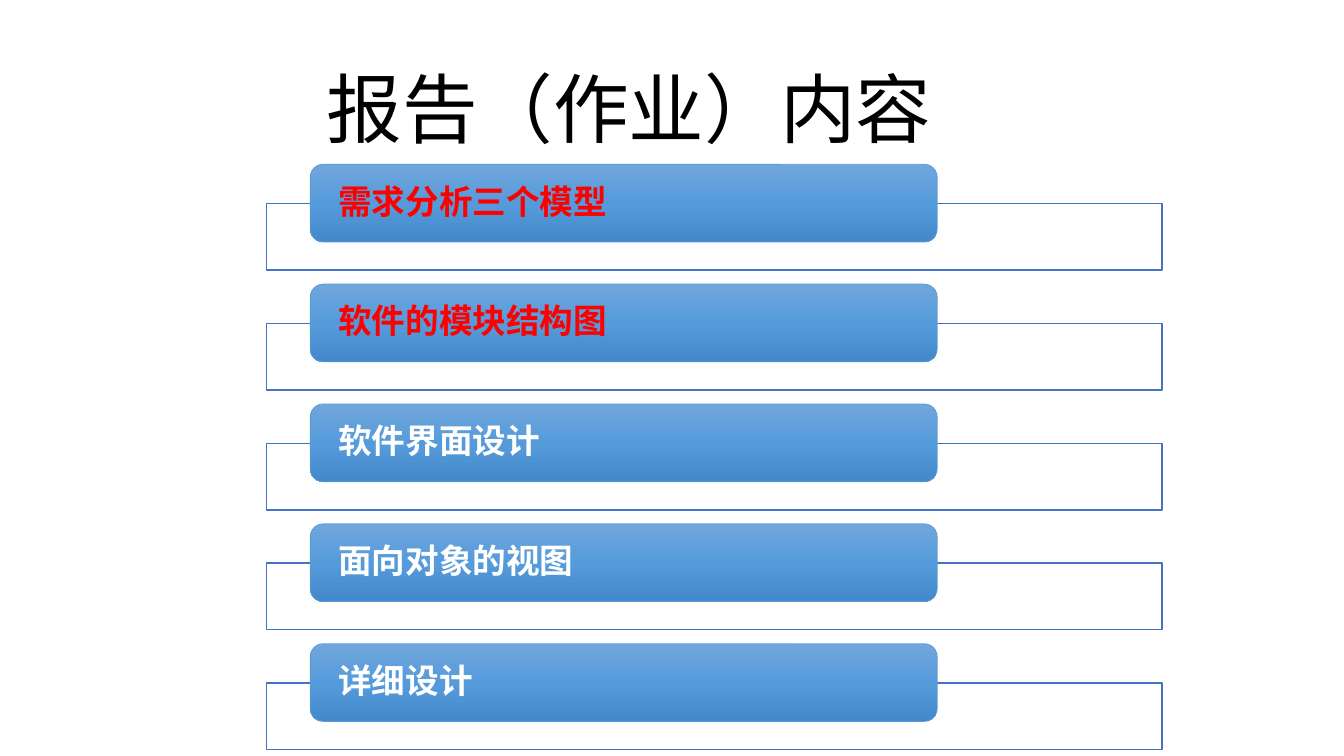
from copy import deepcopy
from dataclasses import dataclass

from lxml import etree
from pptx import Presentation
from pptx.dml.color import RGBColor
from pptx.enum.shapes import MSO_SHAPE
from pptx.enum.text import MSO_ANCHOR, PP_ALIGN
from pptx.oxml.ns import qn
from pptx.util import Cm, Pt

RECTANGLE = MSO_SHAPE.RECTANGLE
ROUNDED = MSO_SHAPE.ROUNDED_RECTANGLE
MIDDLE, BOTTOM = MSO_ANCHOR.MIDDLE, MSO_ANCHOR.BOTTOM
LEFT, CENTER = PP_ALIGN.LEFT, PP_ALIGN.CENTER

FONT = "Noto Sans CJK SC"
RED, WHITE, BLACK = "FF0000", "FFFFFF", "000000"
FRAME_LINE, LABEL_LINE = "4472C4", "5B9BD5"
LABEL_GRADIENT = [(0, "71A6DB"), (0.5, "559BDB"), (1, "448ACA")]

FIRST_LABEL_TOP = 4.14
ROW_PITCH = 3.02
FRAME_OFFSET = 0.99  # from label top to frame top


@dataclass
class Topic:
    text: str
    color: str


TOPICS = [
    Topic("需求分析三个模型", RED),
    Topic("软件的模块结构图", RED),
    Topic("软件界面设计", WHITE),
    Topic("面向对象的视图", WHITE),
    Topic("详细设计", WHITE),
]


def rgb(value: str) -> RGBColor:
    return RGBColor.from_string(value)


def write(shape, text: str, size: float, color: str, bold: bool, align, anchor) -> None:
    frame = shape.text_frame
    frame.word_wrap = True
    frame.vertical_anchor = anchor
    frame.text = text
    para = frame.paragraphs[0]
    para.alignment = align
    para.line_spacing = 0.9
    span = para.runs[0]
    span.font.size = Pt(size)
    span.font.bold = bold
    span.font.color.rgb = rgb(color)
    span.font.name = FONT
    # East Asian typeface
    etree.SubElement(span.font._element, qn("a:ea"), typeface=FONT)


def add_box(page, kind, left: float, top: float, width: float, height: float,
            line: str, line_width: float):
    box = page.shapes.add_shape(kind, Cm(left), Cm(top), Cm(width), Cm(height))
    box.shadow.inherit = False
    box.line.color.rgb = rgb(line)
    box.line.width = Pt(line_width)
    return box


def fill_gradient(box, stops: list[tuple[float, str]]) -> None:
    box.fill.gradient()
    box.fill.gradient_angle = 270  # top to bottom
    stop_list = box._element.spPr.find(".//" + qn("a:gsLst"))
    while len(stop_list) < len(stops):
        stop_list.append(deepcopy(stop_list[0]))
    for stop, (position, color) in zip(box.fill.gradient_stops, stops):
        stop.position = position
        stop.color.rgb = rgb(color)


def add_topic(page, topic: Topic, top: float) -> None:
    # Outlined frame behind the label
    frame = add_box(page, RECTANGLE, 6.71, top + FRAME_OFFSET, 22.58, 1.68, FRAME_LINE, 1)
    frame.fill.solid()
    frame.fill.fore_color.rgb = rgb(WHITE)
    color = frame._element.spPr.find(qn("a:solidFill"))[0]
    etree.SubElement(color, qn("a:alpha"), val="90000")

    # Label with the topic
    label = add_box(page, ROUNDED, 7.82, top, 15.8, 1.96, LABEL_LINE, 0.5)
    fill_gradient(label, LABEL_GRADIENT)
    text_frame = label.text_frame
    text_frame.margin_left = text_frame.margin_right = Cm(0.61)
    text_frame.margin_top = text_frame.margin_bottom = 0
    write(label, topic.text, 24, topic.color, True, LEFT, MIDDLE)


def main() -> None:
    deck = Presentation()
    deck.slide_width, deck.slide_height = Cm(33.87), Cm(19.05)
    page = deck.slides.add_slide(deck.slide_layouts[6])

    # Title
    title = page.shapes.add_textbox(Cm(5.54), 0, Cm(20.62), Cm(3.99))
    write(title, "报告（作业）内容", 54, BLACK, False, CENTER, BOTTOM)

    # Topic rows
    for row, topic in enumerate(TOPICS):
        add_topic(page, topic, FIRST_LABEL_TOP + row * ROW_PITCH)

    deck.save("out.pptx")


if __name__ == "__main__":
    main()
